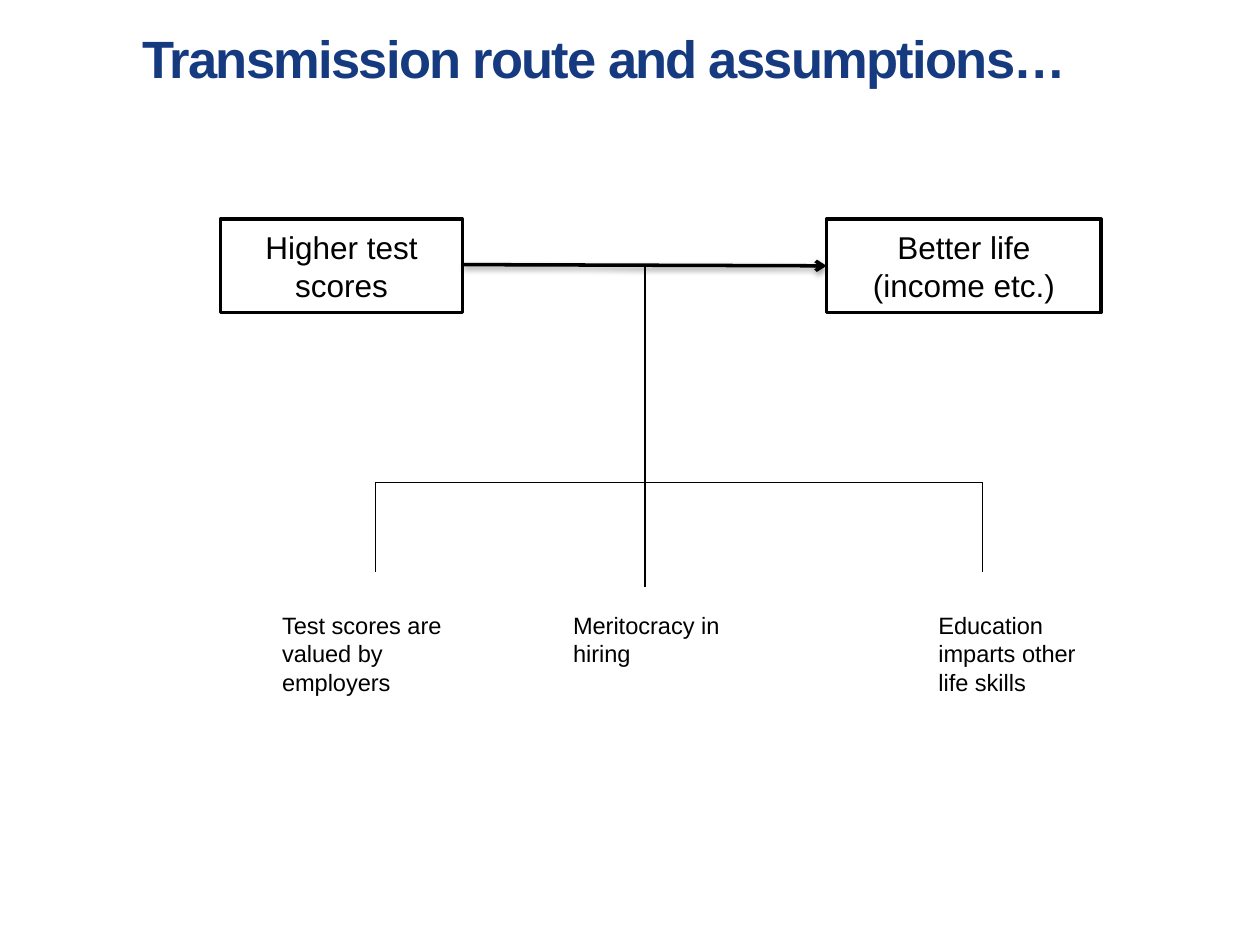
from lxml.etree import SubElement
from pptx import Presentation
from pptx.dml.color import RGBColor
from pptx.enum.shapes import MSO_CONNECTOR as Connector, MSO_SHAPE as Shape
from pptx.enum.text import MSO_ANCHOR as Anchor, PP_ALIGN as Align
from pptx.oxml.ns import qn
from pptx.util import Inches, Pt

NAVY = RGBColor(0x15, 0x3A, 0x80)
BLACK = RGBColor(0, 0, 0)
WHITE = RGBColor(0xFF, 0xFF, 0xFF)

deck = Presentation()
deck.slide_width, deck.slide_height = Inches(10), Inches(7.5)
page = deck.slides.add_slide(deck.slide_layouts[6])


def write(box, text, size, color=BLACK, bold=False, align=Align.LEFT,
          anchor=Anchor.TOP, spacing=None, insets=(0.1, 0.05)):
    frame = box.text_frame
    frame.word_wrap = True
    frame.vertical_anchor = anchor
    frame.margin_left = frame.margin_right = Inches(insets[0])
    frame.margin_top = frame.margin_bottom = Inches(insets[1])
    para = frame.paragraphs[0]
    para.alignment = align
    span = para.add_run()
    span.text = text
    font = span.font
    font.name, font.size, font.bold = "Arial", Pt(size), bold
    font.color.rgb = color
    if spacing is not None:
        span.font._element.set("spc", str(int(spacing * 100)))


def connect(x1, y1, x2, y2, width=0.75):
    line = page.shapes.add_connector(
        Connector.STRAIGHT, Inches(x1), Inches(y1), Inches(x2), Inches(y2))
    line.line.color.rgb = BLACK
    line.line.width = Pt(width)
    effects = SubElement(line._element.spPr, qn("a:effectLst"))
    return line, effects


# Title
title = page.shapes.add_textbox(Inches(1.06), Inches(0.17), Inches(8.66), Inches(0.9))
write(title, "Transmission route and assumptions…", 30, color=NAVY, bold=True,
      spacing=-1, insets=(0.07, 0.04))

# Cause and outcome boxes
for left, width, text in [(1.75, 1.92, "Higher test scores"),
                          (6.56, 2.18, "Better life (income etc.)")]:
    box = page.shapes.add_shape(
        Shape.RECTANGLE, Inches(left), Inches(1.74), Inches(width), Inches(0.74))
    box.shadow.inherit = False
    box.fill.solid()
    box.fill.fore_color.rgb = WHITE
    box.line.color.rgb = BLACK
    box.line.width = Pt(2)
    write(box, text, 18, align=Align.CENTER, anchor=Anchor.MIDDLE)

# Main arrow with a soft shadow below it
arrow, effects = connect(3.68, 2.1, 6.56, 2.11, width=2)
SubElement(arrow.line._get_or_add_ln(), qn("a:tailEnd"), type="arrow")
shadow = SubElement(effects, qn("a:outerShdw"), blurRad=str(Pt(3.1)),
                    dist=str(Pt(1.6)), dir="5400000", rotWithShape="0")
shade = SubElement(shadow, qn("a:srgbClr"), val=str(BLACK))
SubElement(shade, qn("a:alpha"), val="38000")

# Branches from the arrow down to the assumptions
LEFT_X, MIDDLE_X, RIGHT_X, BRANCH_Y = 2.98, 5.12, 7.8, 3.83
connect(MIDDLE_X, 2.1, MIDDLE_X, 4.66)
connect(LEFT_X, BRANCH_Y, RIGHT_X, BRANCH_Y)
for x in (LEFT_X, RIGHT_X):
    connect(x, BRANCH_Y, x, 4.54)

# Assumptions
for left, width, height, text in [
        (2.14, 1.89, 0.89, "Test scores are valued by employers"),
        (4.45, 1.55, 0.63, "Meritocracy in hiring"),
        (7.35, 1.4, 1.15, "Education imparts other life skills")]:
    note = page.shapes.add_textbox(Inches(left), Inches(4.8), Inches(width), Inches(height))
    write(note, text, 13.5)

deck.save("out.pptx")
